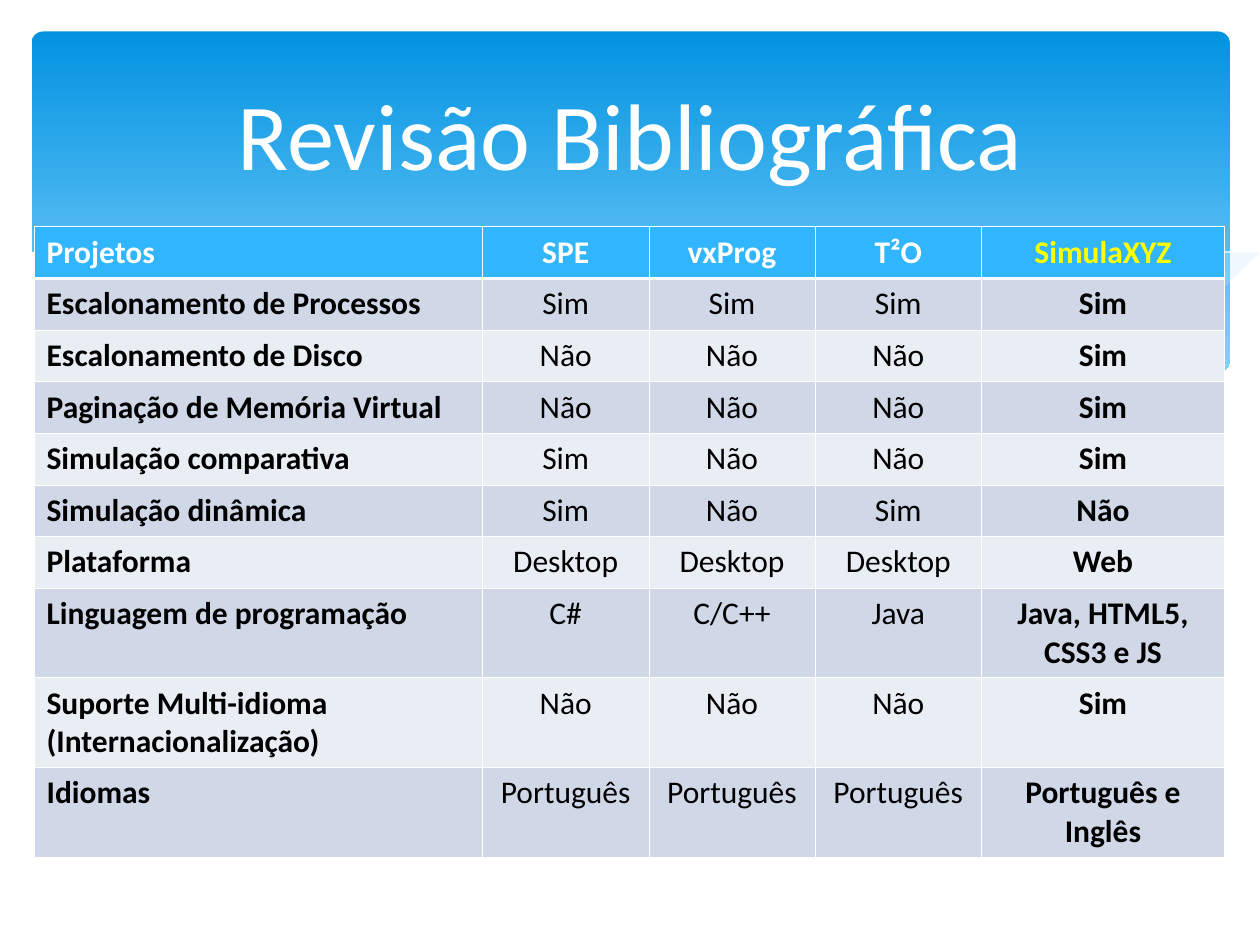
from dataclasses import dataclass

from lxml.etree import SubElement
from pptx import Presentation
from pptx.dml.color import RGBColor as Color
from pptx.enum.shapes import MSO_SHAPE as Preset
from pptx.enum.text import MSO_ANCHOR as Anchor, PP_ALIGN as Align
from pptx.oxml.ns import qn
from pptx.util import Inches, Pt


@dataclass(frozen=True)
class Theme:
    font: str = "Calibri"
    title_size: int = 54
    table_size: int = 18
    white: str = "FFFFFF"
    text: str = "000000"
    highlight: str = "FFFF00"
    header: str = "31B6FD"
    bands: tuple = ("D0D8E8", "E9EDF4")
    banner_top: str = "0293E0"
    banner_bottom: str = "83D3FE"
    wave: str = "C6E7FC"
    grid_line: float = 0.45
    header_line: float = 1.47


THEME = Theme()
WIDTH, HEIGHT = 10, 7.5
COLUMNS = (3.56, 1.32, 1.32, 1.32, 1.93)
ROW_HEIGHT, TALL_ROW_HEIGHT, TALL_ROWS = 0.41, 0.71, 3
ROWS = (
    ("Projetos", "SPE", "vxProg", "T²O", "SimulaXYZ"),
    ("Escalonamento de Processos", "Sim", "Sim", "Sim", "Sim"),
    ("Escalonamento de Disco", "Não", "Não", "Não", "Sim"),
    ("Paginação de Memória Virtual", "Não", "Não", "Não", "Sim"),
    ("Simulação comparativa", "Sim", "Não", "Não", "Sim"),
    ("Simulação dinâmica", "Sim", "Não", "Sim", "Não"),
    ("Plataforma", "Desktop", "Desktop", "Desktop", "Web"),
    ("Linguagem de programação", "C#", "C/C++", "Java", "Java, HTML5, CSS3 e JS"),
    ("Suporte Multi-idioma (Internacionalização)", "Não", "Não", "Não", "Sim"),
    ("Idiomas", "Português", "Português", "Português", "Português e Inglês"),
)
RIGHT_WAVE = (
    (9.76, 1.99), (9.35, 2.07), (8.91, 2.16), (8.32, 2.3), (7.79, 2.42),
    (7.29, 2.53), (6.61, 2.65), (7.05, 2.71), (7.57, 2.76), (8.03, 2.78),
    (8.54, 2.76), (8.97, 2.7), (9.35, 2.61), (9.76, 2.47),
)
CENTER_WAVE = (
    (8.93, 2.73), (8.37, 2.65), (7.75, 2.54), (7.06, 2.4), (6.29, 2.22),
    (5.69, 2.08), (5.14, 1.98), (4.64, 1.91), (4.2, 1.87), (3.8, 1.86),
    (3.28, 1.87), (2.86, 1.91), (3.42, 1.99), (4.04, 2.11), (4.91, 2.32),
    (5.66, 2.48), (6.34, 2.61), (6.95, 2.7), (7.48, 2.76), (8.07, 2.78),
    (8.57, 2.77),
)
LONG_CURVE = (
    (3.09, 1.95), (3.44, 1.9), (3.87, 1.87), (4.33, 1.87), (4.89, 1.9),
    (5.57, 1.97), (6.36, 2.08), (7.27, 2.26), (7.95, 2.41), (8.68, 2.61),
    (9.07, 2.71),
)
RISING_CURVE = (
    (6.13, 2.57), (6.72, 2.41), (7.48, 2.23), (8.06, 2.1), (8.66, 1.99),
    (9.1, 1.92), (9.51, 1.87), (9.75, 1.85),
)
WHITE_WAVE = (
    (9.77, 2.46), (9.5, 2.56), (9.2, 2.65), (8.75, 2.73), (8.23, 2.77),
    (7.61, 2.75), (6.88, 2.68), (6.03, 2.54), (5.29, 2.39), (4.47, 2.2),
    (3.91, 2.07), (3.39, 1.97), (2.92, 1.9), (2.5, 1.86), (1.93, 1.84),
    (1.46, 1.85), (1.06, 1.89), (0.75, 1.95), (0.46, 2.03), (0.23, 2.13),
    (0.23, 3.29), (9.77, 3.29),
)


def rgb(value):
    return Color.from_string(value)


def add_banner(slide):
    banner = slide.shapes.add_shape(
        Preset.ROUNDED_RECTANGLE, *map(Inches, (0.25, 0.25, 9.51, 2.7)))
    banner.adjustments[0] = 0.034
    banner.shadow.inherit = False
    banner.line.fill.background()
    banner.fill.gradient()
    banner.fill.gradient_angle = 270
    for stop, color in zip(banner.fill.gradient_stops,
                           (THEME.banner_top, THEME.banner_bottom)):
        stop.color.rgb = rgb(color)


def add_freeform(slide, points, closed):
    builder = slide.shapes.build_freeform(*points[0], scale=Inches(1))
    builder.add_line_segments(points[1:], close=closed)
    shape = builder.convert_to_shape()
    shape.shadow.inherit = False
    return shape


def add_wave(slide, points, color, opacity=100):
    wave = add_freeform(slide, points, True)
    wave.line.fill.background()
    wave.fill.solid()
    wave.fill.fore_color.rgb = rgb(color)
    if opacity < 100:
        color_element = wave.element.spPr.find(".//" + qn("a:srgbClr"))
        SubElement(color_element, qn("a:alpha"), val=str(opacity * 1000))


def add_curve(slide, points):
    curve = add_freeform(slide, points, False)
    curve.fill.background()
    curve.line.color.rgb = rgb(THEME.white)
    curve.line.width = Pt(0)


def add_run(paragraph, text, size, color, bold=False):
    run = paragraph.add_run()
    run.text = text
    run.font.name = THEME.font
    run.font.size = Pt(size)
    run.font.bold = bold
    run.font.color.rgb = rgb(color)


def set_borders(cell, row):
    properties = cell._tc.get_or_add_tcPr()
    thick_side = {0: "B", 1: "T"}.get(row)
    for side in "LRTB":
        width = THEME.header_line if side == thick_side else THEME.grid_line
        line = SubElement(properties, qn(f"a:ln{side}"), w=str(Pt(width)))
        fill = SubElement(line, qn("a:solidFill"))
        SubElement(fill, qn("a:srgbClr"), val=THEME.white)


def format_cell(cell, text, row, column):
    last = len(COLUMNS) - 1
    if row == 0:
        fill = THEME.header
        color = THEME.highlight if column == last else THEME.white
    else:
        fill = THEME.bands[(row - 1) % 2]
        color = THEME.text
    set_borders(cell, row)
    cell.fill.solid()
    cell.fill.fore_color.rgb = rgb(fill)
    paragraph = cell.text_frame.paragraphs[0]
    paragraph.alignment = Align.CENTER if column else Align.LEFT
    add_run(paragraph, text, THEME.table_size, color,
            row == 0 or column in (0, last))


def add_comparison_table(slide):
    heights = ([ROW_HEIGHT] * (len(ROWS) - TALL_ROWS)
               + [TALL_ROW_HEIGHT] * TALL_ROWS)
    table = slide.shapes.add_table(
        len(ROWS), len(COLUMNS), Inches(0.27), Inches(1.8),
        Inches(sum(COLUMNS)), Inches(sum(heights))).table
    for column, width in zip(table.columns, COLUMNS):
        column.width = Inches(width)
    for row, height in zip(table.rows, heights):
        row.height = Inches(height)
    for row, texts in enumerate(ROWS):
        for column, text in enumerate(texts):
            format_cell(table.cell(row, column), text, row, column)


def place_title(slide, text):
    title = slide.shapes.title
    title.left, title.top = 0, Inches(0.37)
    title.width, title.height = Inches(WIDTH), Inches(1.37)
    title.text_frame.vertical_anchor = Anchor.MIDDLE
    paragraph = title.text_frame.paragraphs[0]
    paragraph.alignment = Align.CENTER
    add_run(paragraph, text, THEME.title_size, THEME.white)
    title.element.getparent().append(title.element)


def main():
    presentation = Presentation()
    presentation.slide_width = Inches(WIDTH)
    presentation.slide_height = Inches(HEIGHT)
    slide = presentation.slides.add_slide(presentation.slide_layouts[5])
    add_banner(slide)
    add_wave(slide, RIGHT_WAVE, THEME.wave, 29)
    add_wave(slide, CENTER_WAVE, THEME.wave, 40)
    add_curve(slide, LONG_CURVE)
    add_curve(slide, RISING_CURVE)
    add_wave(slide, WHITE_WAVE, THEME.white)
    add_comparison_table(slide)
    place_title(slide, "Revisão Bibliográfica")
    presentation.save("out.pptx")


if __name__ == "__main__":
    main()
